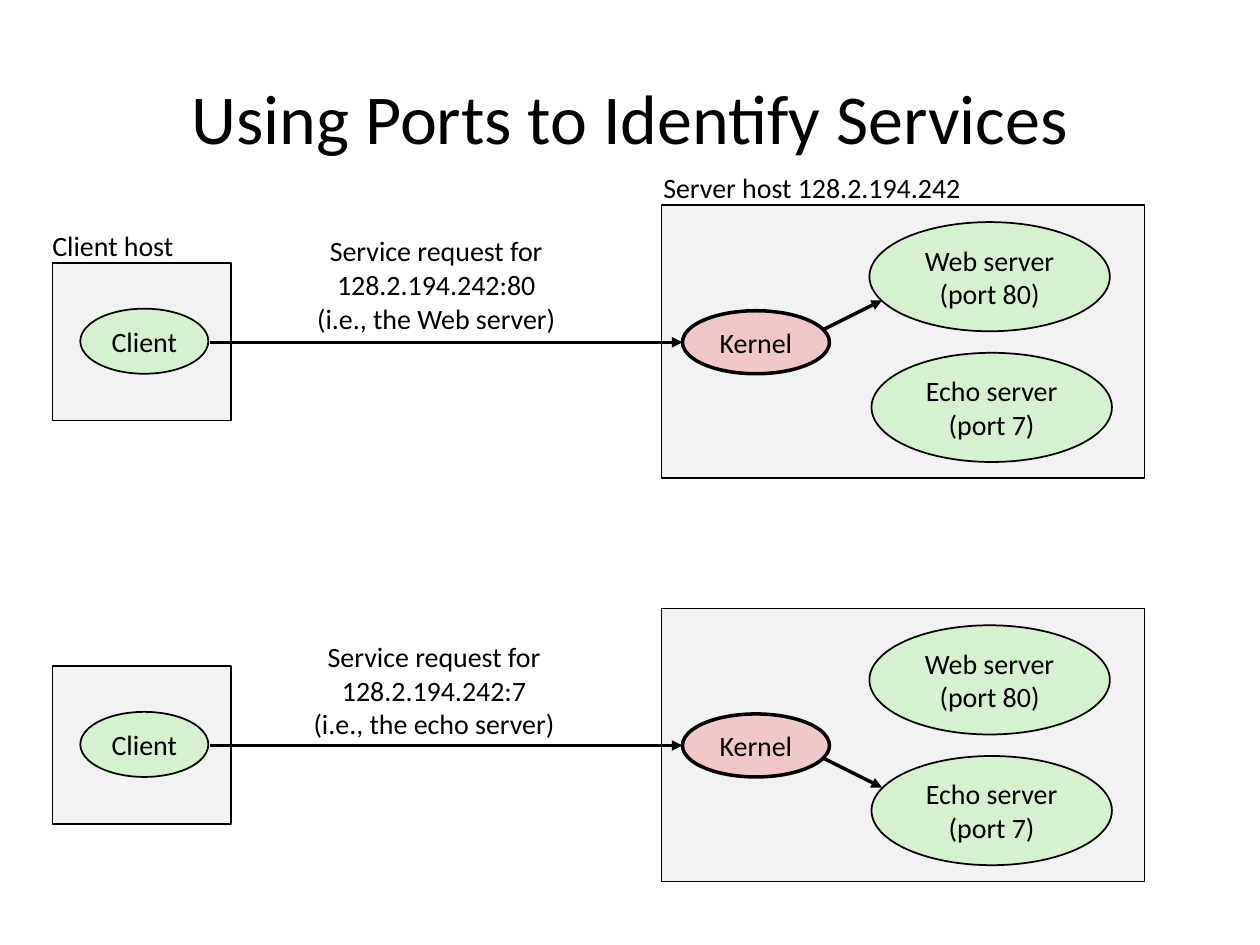
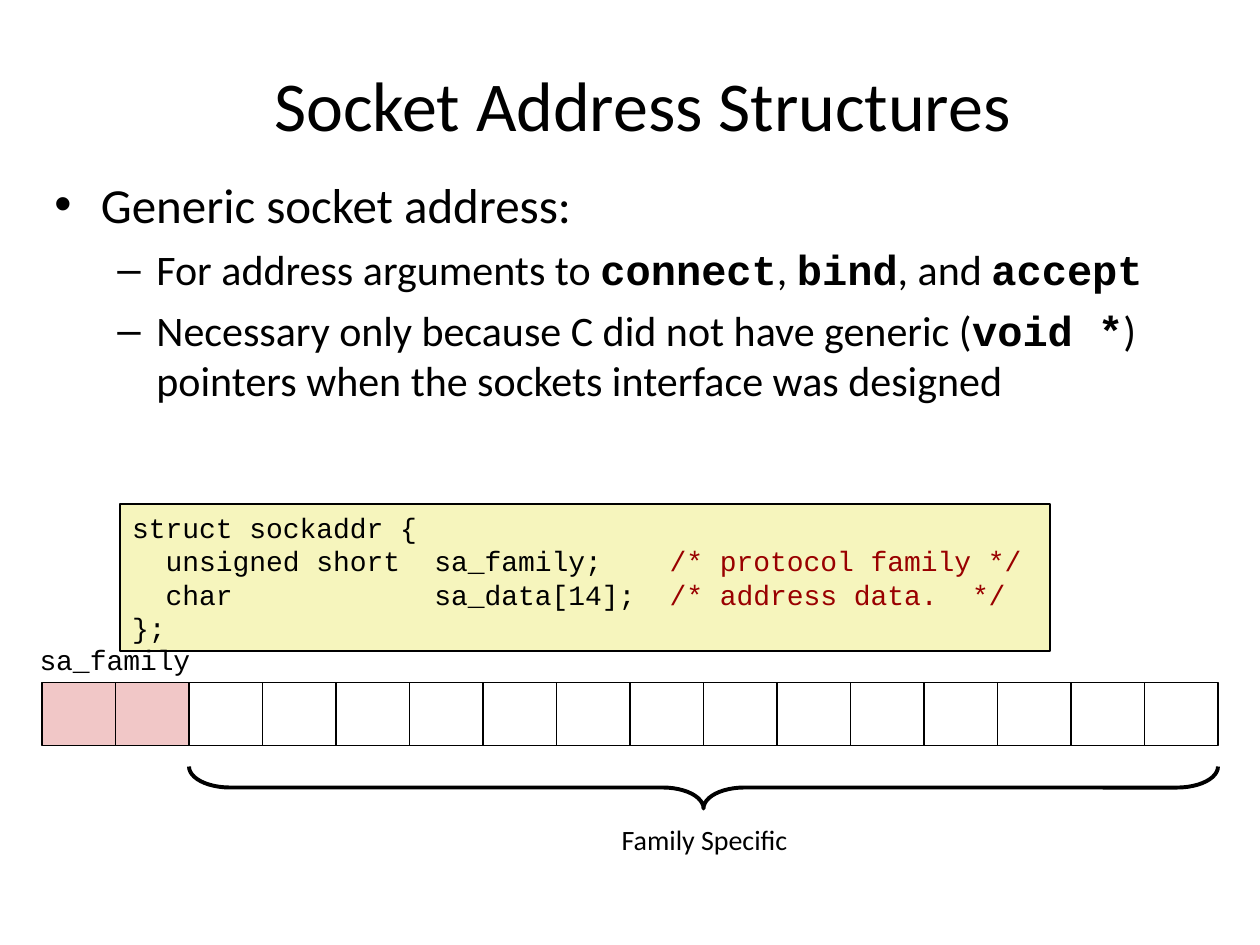
from lxml.etree import SubElement
from pptx import Presentation
from pptx.dml.color import RGBColor
from pptx.enum.shapes import MSO_CONNECTOR, MSO_SHAPE as SHAPE
from pptx.enum.text import MSO_ANCHOR as ANCHOR, PP_ALIGN as ALIGN
from pptx.oxml.ns import qn
from pptx.util import Inches, Pt

rgb = RGBColor.from_string
BLACK, GREY, GREEN, PINK, CREAM, RED = (
    "000000", "F2F2F2", "D5F1CF", "F1C7C7", "F6F5BD", "990000")
SANS, MONO = "Calibri", "Courier New"
CODE, COMMENT = (MONO, BLACK, True), (MONO, RED, False)
UNIT = Inches(1) // 12
CHAR = Pt(9.6)

prs = Presentation()
prs.slide_width, prs.slide_height = 120 * UNIT, 90 * UNIT
blank = prs.slide_layouts[6]


def draw(shapes, kind, col, row, cols, rows, fill=None, line=1):
    at = [round(n * UNIT) for n in (col, row, cols, rows)]
    if kind is None:
        return shapes.add_textbox(*at)
    sp = shapes.add_shape(kind, *at)
    sp.shadow.inherit = False
    if fill:
        sp.fill.solid()
        sp.fill.fore_color.rgb = rgb(fill)
    else:
        sp.fill.background()
    sp.line.color.rgb = rgb(BLACK)
    sp.line.width = Pt(line)
    return sp


def write(sp, paragraphs, size=16, font=SANS, align=ALIGN.CENTER,
          anchor=ANCHOR.MIDDLE, wrap=False):
    tf = sp.text_frame
    tf.word_wrap = wrap
    tf.vertical_anchor = anchor
    for i, runs in enumerate(paragraphs):
        p = tf.paragraphs[0] if i == 0 else tf.add_paragraph()
        p.alignment = align
        for text, *style in [(runs,)] if isinstance(runs, str) else runs:
            face, color, bold = style or (font, BLACK, False)
            r = p.add_run()
            r.text = text
            r.font.size = Pt(size)
            r.font.name = face
            r.font.bold = bold
            r.font.color.rgb = rgb(color)
    return tf


s = prs.slides.add_slide(blank)
write(draw(s.shapes, None, 6, 3.6, 108, 15),
      ["Using Ports to Identify Services"], size=40, wrap=True)
for text, col, row, cols in [("Client host", 3.8, 21.15, 14),
                             ("Server host 128.2.194.242", 62, 15.65, 30.7)]:
    write(draw(s.shapes, None, col, row, cols, 4.4), [text],
          align=ALIGN.LEFT, anchor=ANCHOR.TOP)

requests = [("128.2.194.242:80", "(i.e., the Web server)", 24.15, 21.7, (31.6, 28.6)),
            ("128.2.194.242:7", "(i.e., the echo server)", 23.95, 21.95, (33.6, 36.6))]
for i, (address, target, label_col, label_row, (start, end)) in enumerate(requests):
    top = 38.4 * i
    draw(s.shapes, SHAPE.RECTANGLE, 5, top + 25.05, 17, 15, GREY)
    draw(s.shapes, SHAPE.RECTANGLE, 63, top + 19.55, 46, 26, GREY)
    write(draw(s.shapes, None, label_col, top + label_row, 34.8, 10.8),
          ["Service request for", address, target], anchor=ANCHOR.TOP, wrap=True)
    for x1, y1, x2, y2 in [(20, 32.6, 65, 32.6), (78, start, 84, end)]:
        c = s.shapes.add_connector(
            MSO_CONNECTOR.STRAIGHT,
            *[round(n * UNIT) for n in (x1, top + y1, x2, top + y2)])
        c.line.color.rgb = rgb(BLACK)
        c.line.width = Pt(2)
        spPr = c.element.spPr
        SubElement(spPr.find(qn("a:ln")), qn("a:tailEnd"), type="triangle")
        SubElement(spPr, qn("a:effectLst"))
    for lines, col, row, cols, rows, fill, width in [
            (["Web server", "(port 80)"], 82.8, 21.15, 22.9, 10.4, GREEN, 1),
            (["Echo server", "(port 7)"], 83, 33.6, 22.9, 10.4, GREEN, 1),
            (["Kernel"], 65, 29.6, 14, 6, PINK, 2),
            (["Client"], 7.65, 29.4, 12.2, 6.2, GREEN, 1)]:
        write(draw(s.shapes, SHAPE.OVAL, col, top + row, cols, rows, fill, width), lines)

s = prs.slides.add_slide(blank)
write(draw(s.shapes, None, 4, 4.8, 114.4, 10.2),
      ["Socket Address Structures"], size=40, wrap=True)

tf = write(draw(s.shapes, None, 4, 16, 109, 56), [
    "Generic socket address:",
    [("For address arguments to ",), ("connect", *CODE), (", ",),
     ("bind", *CODE), (", and ",), ("accept", *CODE)],
    [("Necessary only because C did not have generic (",), ("void *", *CODE),
     (") pointers when the sockets interface was designed",)],
], size=24, align=ALIGN.LEFT, anchor=ANCHOR.TOP, wrap=True)
tf.paragraphs[0].runs[0].font.size = Pt(28)
for i, p in enumerate(tf.paragraphs):
    p.level = min(i, 1)
    left, hang, before, bullet = (0.81, 0.31, 6, "–") if i else (0.37, 0.37, 7, "•")
    p.space_before = Pt(before)
    pPr = p._p.get_or_add_pPr()
    pPr.set("marL", str(Inches(left)))
    pPr.set("indent", str(-Inches(hang)))
    SubElement(SubElement(pPr, qn("a:buClr")), qn("a:srgbClr"), val=BLACK)
    SubElement(pPr, qn("a:buFont"), typeface="Arial")
    SubElement(pPr, qn("a:buChar"), char=bullet)

tf = write(draw(s.shapes, SHAPE.RECTANGLE, 11.4, 48, 88.6, 14, CREAM), [
    "struct sockaddr {",
    [("\tunsigned short\tsa_family;\t",), ("/* protocol family */", *COMMENT)],
    [("\tchar\tsa_data[14];\t",), ("/* address data.\t*/", *COMMENT)],
    "};",
], font=MONO, align=ALIGN.LEFT, anchor=ANCHOR.TOP, wrap=True)
for p in tf.paragraphs[1:3]:
    tabs = SubElement(p._p.get_or_add_pPr(), qn("a:tabLst"))
    for column in (2, 18, 32, 50):
        SubElement(tabs, qn("a:tab"), pos=str(column * CHAR), algn="l")

cells = s.shapes.add_group_shape().shapes
for i in range(16):
    draw(cells, SHAPE.RECTANGLE, 4 + 7 * i, 65, 7, 6, PINK if i < 2 else None)

for text, font, col, row, cols in [("sa_family", MONO, 0.95, 60.6, 20),
                                   ("Family Specific", SANS, 57, 77.75, 20.2)]:
    write(draw(s.shapes, None, col, row, cols, 4.4), [text], font=font, anchor=ANCHOR.TOP)

brace = draw(s.shapes, SHAPE.RIGHT_BRACE, 65, 26, 4, 98, line=2.25)
brace.adjustments[0] = 0.97
brace.rotation = 90

prs.save("out.pptx")
